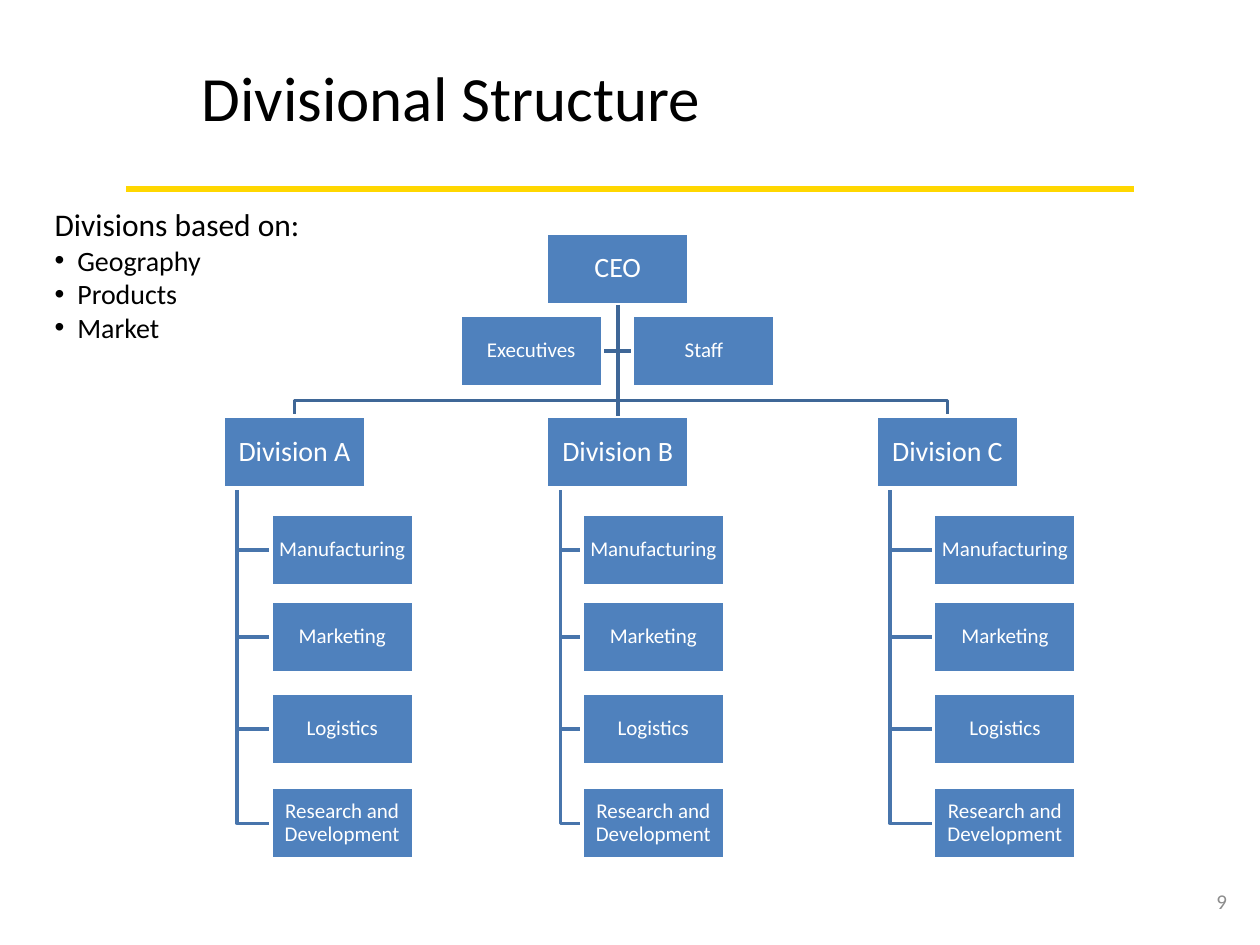
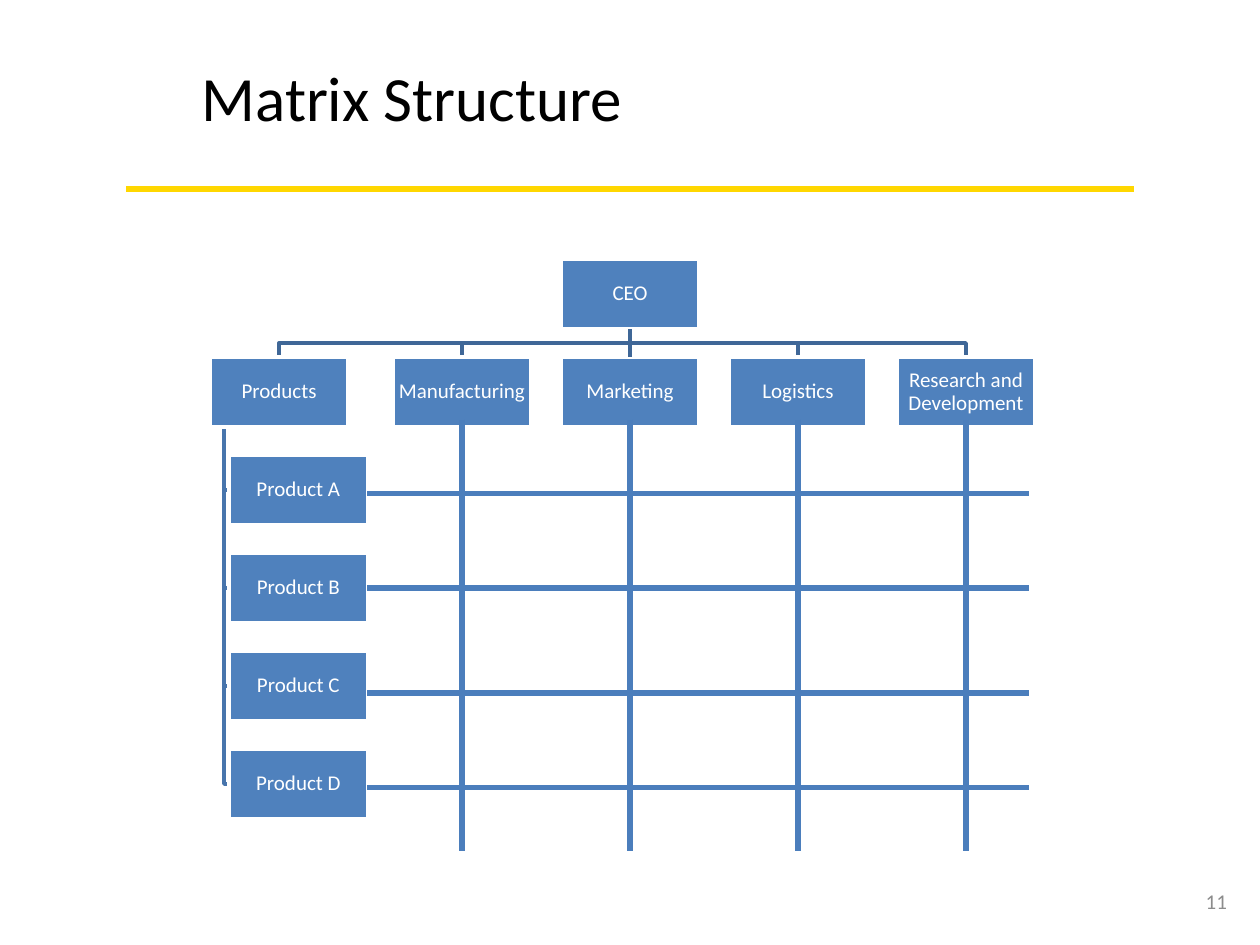
import pptx
import pptx.dml.color
import pptx.enum.shapes
import pptx.enum.text
import pptx.oxml.ns
import pptx.util
import lxml.etree

Pt = pptx.util.Pt
RGB = pptx.dml.color.RGBColor
Align = pptx.enum.text.PP_ALIGN
Anchor = pptx.enum.text.MSO_ANCHOR
Fit = pptx.enum.text.MSO_AUTO_SIZE
Shape = pptx.enum.shapes.MSO_SHAPE
Link = pptx.enum.shapes.MSO_CONNECTOR
qn = pptx.oxml.ns.qn

FONT = "Calibri"
BLACK = RGB(0x00, 0x00, 0x00)
WHITE = RGB(0xFF, 0xFF, 0xFF)
GOLD = RGB(0xFF, 0xD7, 0x00)
GREY = RGB(0x8C, 0x8C, 0x8C)
BLUE = RGB(0x4F, 0x81, 0xBD)
TRUNK = RGB(0x3F, 0x67, 0x97)
BRANCH = RGB(0x48, 0x75, 0xAC)
GRID = RGB(0x4B, 0x7E, 0xBC)

UNITS = ["Manufacturing", "Marketing", "Logistics", "Research and Development"]


def style(item, **values):
    for name, value in values.items():
        setattr(item, name, value)


def place(shape, x, y, w, h):
    style(shape, left=Pt(x), top=Pt(y), width=Pt(w), height=Pt(h))


def write(para, text, size, color, align=Align.LEFT, lead=1.0):
    style(para, text=text, alignment=align, line_spacing=lead,
          space_before=Pt(0), space_after=Pt(0))
    style(para.font, name=FONT, size=Pt(size))
    para.font.color.rgb = color


def line(slide, start, end, color, width):
    item = slide.shapes.add_connector(
        Link.STRAIGHT, *(Pt(v) for v in (*start, *end)))
    item.line.color.rgb = color
    item.line.width = Pt(width)
    props = item._element.find(qn("p:spPr"))
    lxml.etree.SubElement(props, qn("a:effectLst"))
    return item


def elbow(slide, color, *points):
    """Draw an open line with corners through the points."""
    first, *rest = [(Pt(x), Pt(y)) for x, y in points]
    path = slide.shapes.build_freeform(*first)
    path.add_line_segments(rest, close=False)
    item = path.convert_to_shape()
    item.fill.background()
    item.line.color.rgb = color
    item.line.width = Pt(2)
    item.shadow.inherit = False


def fork(slide, x, top, bus, ends, bottom):
    """Lead from one parent down to several children below a bus."""
    for end in ends:
        elbow(slide, TRUNK, (x, top), (x, bus), (end, bus), (end, bottom))


def comb(slide, x, top, right, rows):
    """Lead from a spine to the left sides of stacked boxes."""
    for row in rows:
        elbow(slide, BRANCH, (x, top), (x, row), (right, row))


def box(slide, text, x, y, w, h, size=12):
    item = slide.shapes.add_shape(Shape.RECTANGLE, Pt(x), Pt(y), Pt(w), Pt(h))
    item.shadow.inherit = False
    item.fill.solid()
    item.fill.fore_color.rgb = BLUE
    item.line.color.rgb = WHITE
    item.line.width = Pt(2)
    frame = item.text_frame
    style(frame, word_wrap=True, vertical_anchor=Anchor.MIDDLE,
          margin_left=Pt(1), margin_right=Pt(1),
          margin_top=Pt(1), margin_bottom=Pt(1))
    write(frame.paragraphs[0], text, size, WHITE, Align.CENTER, 0.9)
    return item


def start(deck, layout, title, width, number):
    """Add a slide with its title, gold rule and number."""
    slide = deck.slides.add_slide(deck.slide_layouts[layout])
    line(slide, (72, 108), (648, 108), GOLD, 4)
    head = slide.shapes.title
    place(head, 108, 30, width, 51)
    write(head.text_frame.paragraphs[0], title, 36, BLACK)
    style(head.text_frame, word_wrap=False, auto_size=Fit.NONE,
          vertical_anchor=Anchor.TOP)
    foot = slide.shapes.add_textbox(Pt(678), Pt(500.4), Pt(30.2), Pt(28.8))
    style(foot.text_frame, word_wrap=True, vertical_anchor=Anchor.MIDDLE)
    write(foot.text_frame.paragraphs[0], number, 12, GREY, Align.RIGHT)
    return slide


def bases(slide, head, items):
    """Fill the body with a heading and a bulleted list."""
    body = slide.placeholders[1]
    place(body, 24, 113.8, 156, 87)
    frame = body.text_frame
    style(frame, word_wrap=False, auto_size=Fit.NONE,
          vertical_anchor=Anchor.TOP)
    write(frame.paragraphs[0], head, 18, BLACK)
    props = frame.paragraphs[0]._p.get_or_add_pPr()
    props.set("marL", "0")
    props.set("indent", "0")
    lxml.etree.SubElement(props, qn("a:buNone"))
    for text in items:
        para = frame.add_paragraph()
        write(para, text, 16, BLACK)
        props = para._p.get_or_add_pPr()
        props.set("marL", str(Pt(13)))
        props.set("indent", str(-Pt(13)))


def divide(deck):
    slide = start(deck, 1, "Divisional Structure", 302, "9")
    bases(slide, "Divisions based on:", ["Geography", "Products", "Market"])
    w, h, mid = 81.5, 41, 353
    top, aide, row = 133.2, 180, 237.8
    tops = [293.8, 343.4, 396, 450]
    parts = [("Division A", 168.25, 154.8), ("Division B", mid, 332.6),
             ("Division C", 541.4, 533.5)]
    aides = [("Executives", 262.8), ("Staff", 361.5)]

    level = aide + h / 2
    elbow(slide, TRUNK, (aides[0][1] + w, level), (aides[1][1], level))
    fork(slide, mid, top + h, 229, [parts[0][1], parts[2][1]], row)
    for name, x, left in parts:
        comb(slide, x - w / 2 + 8, row + h, left, [y + h / 2 for y in tops])

    chief = box(slide, "CEO", mid - w / 2, top, w, h, 16)
    for name, x in aides:
        box(slide, name, x, aide, w, h)
    for name, x, left in parts:
        node = box(slide, name, x - w / 2, row, w, h, 16)
        if x == mid:
            stem = line(slide, (mid, top + h), (mid, row), TRUNK, 2)
            stem.begin_connect(chief, 2)
            stem.end_connect(node, 0)
        for unit, y in zip(UNITS, tops):
            box(slide, unit, left, y, w, h)


def matrix(deck):
    slide = start(deck, 5, "Matrix Structure", 257, "11")
    w, h, mid = 79, 40, 360
    top, row, left = 148, 204, 131
    cols = [264 + 96 * i for i in range(4)]
    tops = [260 + 56 * i for i in range(4)]
    goods = 159.5

    fork(slide, mid, top + h, 196,
         [goods] + [x for x in cols if x != mid], row)
    comb(slide, 128, row + h, left, [y + h / 2 for y in tops])

    chief = box(slide, "CEO", mid - w / 2, top, w, h)
    box(slide, "Products", goods - w / 2, row, w, h)
    for unit, x in zip(UNITS, cols):
        node = box(slide, unit, x - w / 2, row, w, h)
        if x == mid:
            stem = line(slide, (mid, top + h), (mid, row), TRUNK, 2)
            stem.begin_connect(chief, 2)
            stem.end_connect(node, 0)
        line(slide, (x, 240), (x, 486), GRID, 3)
    for mark, y, level in zip("ABCD", tops, [282, 336, 396, 450]):
        node = box(slide, f"Product {mark}", left, y, w, h)
        rail = line(slide, (left + w, level), (588, level), GRID, 3)
        if level == y + h / 2:
            rail.begin_connect(node, 3)


def main():
    deck = pptx.Presentation()
    style(deck, slide_width=Pt(720), slide_height=Pt(540))
    divide(deck)
    matrix(deck)
    deck.save("out.pptx")


if __name__ == "__main__":
    main()
